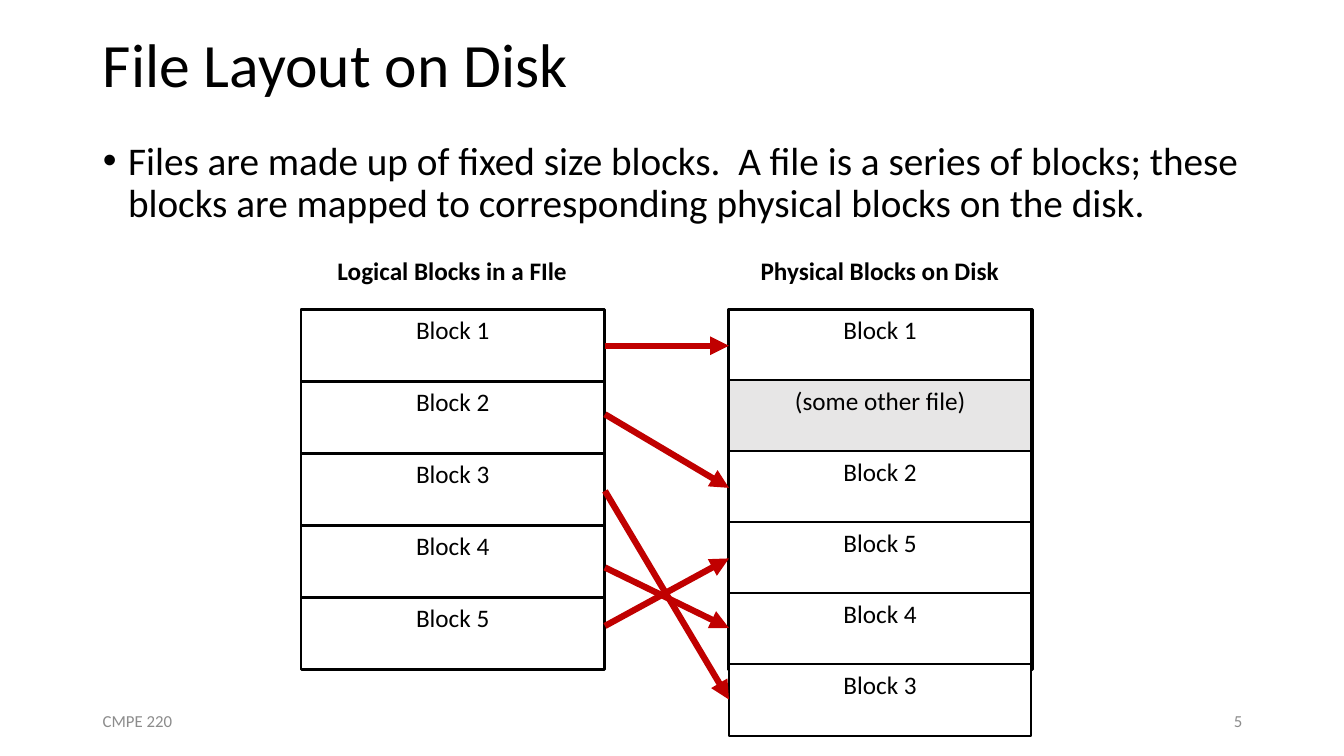
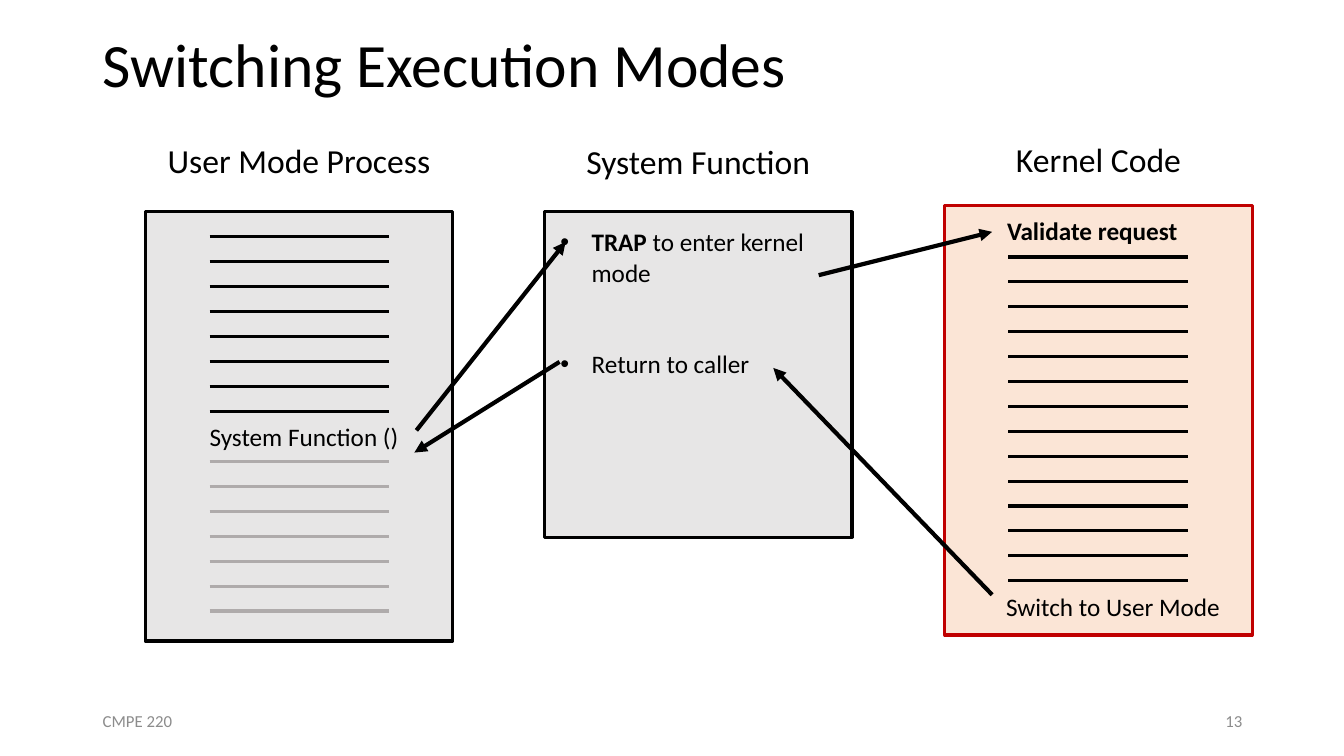
import dataclasses

import lxml.etree
import pptx
import pptx.dml.color
import pptx.enum.shapes
import pptx.enum.text
import pptx.oxml.ns
import pptx.util

Inches = pptx.util.Inches
Pt = pptx.util.Pt
Align = pptx.enum.text.PP_ALIGN
Anchor = pptx.enum.text.MSO_ANCHOR


@dataclasses.dataclass(frozen=True)
class Theme:
    font: str = "Calibri"
    black: str = "000000"
    white: str = "FFFFFF"
    panel: str = "E7E6E6"
    kernel: str = "FBE5D6"
    red: str = "C00000"
    faded: str = "AFABAB"
    footer: str = "8C8C8C"
    title_size: float = 44
    body_size: float = 28
    heading_size: float = 24
    label_size: float = 18
    footer_size: float = 12
    thin: float = 1.5
    medium: float = 2.25
    thick: float = 3
    heavy: float = 4.5


THEME = Theme()


def rgb(color):
    return pptx.dml.color.RGBColor.from_string(color)


def add_child(parent, tag, **attributes):
    return lxml.etree.SubElement(parent, pptx.oxml.ns.qn(tag), attributes)


def write_text(paragraph, text, size=THEME.label_size, color=THEME.black, bold=False,
               align=Align.LEFT, line_spacing=None, space_before=0, bullet_indent=None):
    if bullet_indent is not None and not paragraph.runs:
        properties = paragraph._p.get_or_add_pPr()
        properties.set("marL", str(Inches(bullet_indent)))
        properties.set("indent", str(-Inches(bullet_indent)))
        add_child(properties, "a:buFont", typeface="Arial")
        add_child(properties, "a:buChar", char="•")
    paragraph.alignment = align
    paragraph.space_before = Pt(space_before)
    if line_spacing:
        paragraph.line_spacing = line_spacing
    run = paragraph.add_run()
    run.text = text
    run.font.name = THEME.font
    run.font.size = Pt(size)
    run.font.bold = bold
    run.font.color.rgb = rgb(color)


class Deck:
    def __init__(self, theme):
        self.theme = theme
        self.presentation = pptx.Presentation()
        self.presentation.slide_width = Inches(13.33)
        self.presentation.slide_height = Inches(7.5)
        self.slide = None

    def start_slide(self, title, number, layout):
        self.slide = self.presentation.slides.add_slide(self.presentation.slide_layouts[layout])
        self.fill_placeholder(self.slide.shapes.title, title, 0, 1.35, Anchor.MIDDLE,
                              size=self.theme.title_size)
        footer = dict(size=self.theme.footer_size, color=self.theme.footer)
        self.text(0.92, 6.95, 3, "CMPE 220", anchor=Anchor.MIDDLE, **footer)
        self.text(9.42, 6.95, 3, number, anchor=Anchor.MIDDLE, align=Align.RIGHT, **footer)

    def fill_placeholder(self, placeholder, text, top, height, anchor, **text_format):
        placeholder.left, placeholder.top = Inches(0.92), Inches(top)
        placeholder.width, placeholder.height = Inches(11.5), Inches(height)
        frame = placeholder.text_frame
        frame.auto_size = pptx.enum.text.MSO_AUTO_SIZE.NONE
        frame.vertical_anchor = anchor
        write_text(frame.paragraphs[0], text, line_spacing=0.9, **text_format)

    def body(self, text):
        self.fill_placeholder(self.slide.placeholders[1], text, 1.35, 5.28, Anchor.TOP,
                              size=self.theme.body_size, bullet_indent=0.25)

    def text_frame(self, left, top, width, height, anchor=Anchor.TOP, wrap=True):
        shape = self.slide.shapes.add_textbox(Inches(left), Inches(top), Inches(width), Inches(height))
        shape.text_frame.word_wrap = wrap
        shape.text_frame.vertical_anchor = anchor
        return shape.text_frame

    def text(self, left, top, width, text, height=0.4, anchor=Anchor.TOP, wrap=True, **text_format):
        frame = self.text_frame(left, top, width, height, anchor, wrap)
        write_text(frame.paragraphs[0], text, **text_format)

    def box(self, left, top, width, height, fill, line, line_width, text=None):
        shape = self.slide.shapes.add_shape(pptx.enum.shapes.MSO_SHAPE.RECTANGLE, Inches(left),
                                            Inches(top), Inches(width), Inches(height))
        shape.shadow.inherit = False
        shape.fill.solid()
        shape.fill.fore_color.rgb = rgb(fill)
        shape.line.color.rgb = rgb(line)
        shape.line.width = Pt(line_width)
        if text:
            shape.text_frame.word_wrap = True
            shape.text_frame.vertical_anchor = Anchor.TOP
            write_text(shape.text_frame.paragraphs[0], text, align=Align.CENTER)

    def line(self, start, end, color, width, arrow=False):
        connector = self.slide.shapes.add_connector(
            pptx.enum.shapes.MSO_CONNECTOR.STRAIGHT, *map(Inches, start + end))
        connector.line.color.rgb = rgb(color)
        connector.line.width = Pt(width)
        properties = connector._element.spPr
        if arrow:
            add_child(properties.find(pptx.oxml.ns.qn("a:ln")), "a:tailEnd", type="triangle")
        add_child(properties, "a:effectLst")

    def block_column(self, left, heading, labels, pitch):
        theme = self.theme
        self.box(left, 3.07, 3.01, 3.57, theme.panel, theme.black, theme.medium)
        self.text(left, 2.48, 2.99, heading, bold=True, align=Align.CENTER)
        for index, label in enumerate(labels):
            fill = theme.white if label.startswith("Block") else theme.panel
            self.box(left, 3.07 + index * pitch, 3, 0.71, fill, theme.black, theme.thin, label)

    def panel(self, left, top, height, heading, heading_top, fill, line):
        self.box(left, top, 3.05, height, fill, line, self.theme.medium)
        self.text(left, heading_top, 3.05, heading, height=0.5,
                  size=self.theme.heading_size, align=Align.CENTER)

    def code_lines(self, left, top, count, color):
        for index in range(count):
            y = top + index * 0.247
            self.line((left, y), (left + 1.78, y), color, self.theme.medium)


def build_file_layout(deck):
    theme = deck.theme
    deck.start_slide("File Layout on Disk", "5", layout=1)
    deck.body("Files are made up of fixed size blocks.  A file is a series of blocks; these "
              "blocks are mapped to corresponding physical blocks on the disk.")
    deck.block_column(2.99, "Logical Blocks in a FIle",
                      [f"Block {number}" for number in range(1, 6)], 0.715)
    deck.block_column(7.23, "Physical Blocks on Disk",
                      ["Block 1", "(some other file)", "Block 2", "Block 5", "Block 4", "Block 3"], 0.704)
    mappings = [(3.43, 3.43), (4.11, 4.84), (4.87, 6.94), (5.63, 6.23), (6.21, 5.54)]
    for logical_y, physical_y in mappings:
        deck.line((6, logical_y), (7.23, physical_y), theme.red, theme.heavy, arrow=True)


def build_execution_modes(deck):
    theme = deck.theme
    deck.start_slide("Switching Execution Modes", "13", layout=5)
    deck.panel(1.44, 2.1, 4.26, "User Mode Process", 1.34, theme.panel, theme.black)
    deck.panel(5.4, 2.1, 3.23, "System Function", 1.35, theme.panel, theme.black)
    deck.panel(9.37, 2.04, 4.26, "Kernel Code", 1.33, theme.kernel, theme.red)

    deck.code_lines(2.08, 2.35, 8, theme.black)
    deck.code_lines(2.08, 4.58, 7, theme.faded)
    deck.code_lines(10, 2.55, 14, theme.black)

    steps = deck.text_frame(5.46, 2.2, 2.93, 1.62)
    trap = steps.paragraphs[0]
    write_text(trap, "TRAP ", bold=True, bullet_indent=0.31)
    write_text(trap, "to enter kernel mode")
    write_text(steps.add_paragraph(), "Return to caller", space_before=44, bullet_indent=0.31)

    deck.text(1.98, 4.13, 2.1, "System Function ()", wrap=False)
    deck.text(9.88, 5.82, 2.35, "Switch to User Mode", wrap=False)
    deck.text(9.89, 2.09, 1.9, "Validate request", wrap=False, bold=True)

    control_flow = [((4.13, 4.27), (5.61, 2.4)), ((8.12, 2.73), (9.84, 2.3)),
                    ((9.84, 5.9), (7.67, 3.65)), ((5.55, 3.59), (4.11, 4.49))]
    for start, end in control_flow:
        deck.line(start, end, theme.black, theme.thick, arrow=True)


def main():
    deck = Deck(THEME)
    build_file_layout(deck)
    build_execution_modes(deck)
    deck.presentation.save("out.pptx")


if __name__ == "__main__":
    main()
